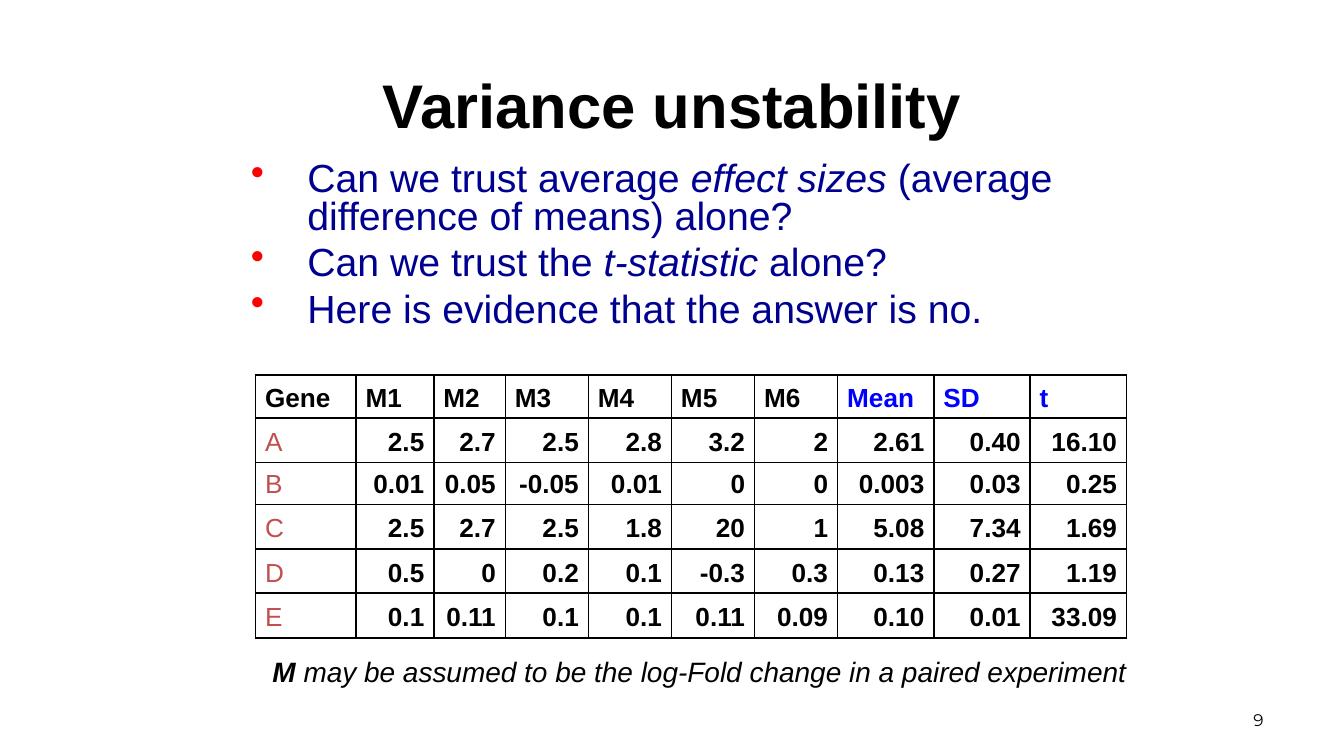
from dataclasses import dataclass

from lxml import etree
from pptx import Presentation
from pptx import util as u
from pptx.dml.color import RGBColor
from pptx.enum import text
from pptx.oxml.ns import qn


@dataclass(frozen=True)
class Theme:
    ink: str = "000000"
    question: str = "000090"
    bullet: str = "FF0000"
    gene: str = "C0504D"
    summary: str = "0000FF"
    font: str = "Arial"
    number_font: str = "Montserrat"
    title_size: int = 33
    bullet_size: int = 21
    caption_size: int = 15
    table_size: int = 14
    number_size: int = 9


def solid_fill(parent, color):
    fill = etree.SubElement(parent, qn("a:solidFill"))
    etree.SubElement(fill, qn("a:srgbClr"), val=color)


class SlideWriter:
    def __init__(self, slide, theme):
        self.slide = slide
        self.theme = theme

    def style(self, run, size, color, bold=False, italic=False, font=None):
        run.font.name = font or self.theme.font
        run.font.size = u.Pt(size)
        run.font.bold = bold
        run.font.italic = italic
        run.font.color.rgb = RGBColor.from_string(color)

    def box(self, area, anchor=text.MSO_ANCHOR.TOP):
        frame = self.slide.shapes.add_textbox(*map(u.Cm, area)).text_frame
        frame.word_wrap = True
        frame.vertical_anchor = anchor
        return frame

    def line(self, area, words, size, align, bold=False, font=None):
        frame = self.box(area, text.MSO_ANCHOR.MIDDLE)
        frame.text = words
        paragraph = frame.paragraphs[0]
        paragraph.alignment = align
        self.style(paragraph.runs[0], size, self.theme.ink, bold, font=font)

    def bullets(self, area, questions):
        frame = self.box(area)
        for index, parts in enumerate(questions):
            paragraph = frame.add_paragraph() if index else frame.paragraphs[0]
            paragraph.line_spacing = 0.8
            if index:
                paragraph.space_before = u.Pt(4.8)
            properties = paragraph._p.get_or_add_pPr()
            properties.set("marL", str(u.Cm(1.27)))
            properties.set("indent", str(u.Cm(-1.07)))
            bullet_color = etree.SubElement(properties, qn("a:buClr"))
            etree.SubElement(bullet_color, qn("a:srgbClr"), val=self.theme.bullet)
            etree.SubElement(properties, qn("a:buChar"), char="•")
            for position, part in enumerate(parts):
                run = paragraph.add_run()
                run.text = part
                self.style(run, self.theme.bullet_size, self.theme.question,
                           italic=position == 1)

    def caption(self, area, symbol, explanation):
        paragraph = self.box(area).paragraphs[0]
        for part, bold in ((symbol, True), (explanation, False)):
            run = paragraph.add_run()
            run.text = part
            self.style(run, self.theme.caption_size, self.theme.ink, bold, True)

    def borders(self, cell):
        properties = cell._tc.get_or_add_tcPr()
        for side in ("a:lnL", "a:lnR", "a:lnT", "a:lnB"):
            edge = etree.SubElement(properties, qn(side), w=str(u.Pt(1)))
            solid_fill(edge, self.theme.ink)

    def cell(self, cell, value, color, bold, align):
        cell.text = value
        cell.vertical_anchor = text.MSO_ANCHOR.BOTTOM
        cell.margin_left = cell.margin_right = u.Cm(0.18)
        cell.margin_top = cell.margin_bottom = u.Cm(0.1)
        paragraph = cell.text_frame.paragraphs[0]
        paragraph.alignment = align
        self.style(paragraph.runs[0], self.theme.table_size, color, bold)
        self.borders(cell)
        cell.fill.background()

    def table(self, left, top, widths, heights, records):
        grid = self.slide.shapes.add_table(
            len(heights), len(widths), u.Cm(left), u.Cm(top),
            u.Cm(sum(widths)), u.Cm(sum(heights))).table
        grid.first_row = grid.horz_banding = False
        for column, width in zip(grid.columns, widths):
            column.width = u.Cm(width)
        for row, height in zip(grid.rows, heights):
            row.height = u.Cm(height)
        for r, record in enumerate(records):
            for c, value in enumerate(record):
                is_header, is_gene = r == 0, r > 0 and c == 0
                color = self.theme.ink
                if is_gene:
                    color = self.theme.gene
                elif is_header and c >= 7:
                    color = self.theme.summary
                align = (text.PP_ALIGN.LEFT if is_header or is_gene
                         else text.PP_ALIGN.RIGHT)
                self.cell(grid.cell(r, c), value, color, not is_gene, align)


QUESTIONS = [
    ("Can we trust average ", "effect sizes", " (average difference of means) alone?"),
    ("Can we trust the ", "t-statistic", " alone?"),
    ("Here is evidence that the answer is no.",),
]

GENES = [
    ("Gene", "M1", "M2", "M3", "M4", "M5", "M6", "Mean", "SD", "t"),
    ("A", "2.5", "2.7", "2.5", "2.8", "3.2", "2", "2.61", "0.40", "16.10"),
    ("B", "0.01", "0.05", "-0.05", "0.01", "0", "0", "0.003", "0.03", "0.25"),
    ("C", "2.5", "2.7", "2.5", "1.8", "20", "1", "5.08", "7.34", "1.69"),
    ("D", "0.5", "0", "0.2", "0.1", "-0.3", "0.3", "0.13", "0.27", "1.19"),
    ("E", "0.1", "0.11", "0.1", "0.1", "0.11", "0.09", "0.10", "0.01", "33.09"),
]


def main():
    deck = Presentation()
    deck.slide_width, deck.slide_height = u.Cm(25.4), u.Cm(14.29)
    theme = Theme()
    writer = SlideWriter(deck.slides.add_slide(deck.slide_layouts[6]), theme)

    writer.line((18.21, 13.23, 5.92, 0.76), "9", theme.number_size,
                text.PP_ALIGN.RIGHT, font=theme.number_font)
    writer.line((1.27, 0.97, 22.86, 1.98), "Variance unstability",
                theme.title_size, text.PP_ALIGN.CENTER, bold=True)
    writer.bullets((4.29, 2.95, 17.37, 3.76), QUESTIONS)
    writer.table(4.83, 7.09,
                 [1.9, 1.47, 1.35] + [1.57] * 4 + [1.82] * 3,
                 [0.81, 0.84, 0.77] + [0.84] * 3, GENES)
    writer.caption((4.9, 12.24, 16.66, 1.55), "M",
                   " may be assumed to be the log-Fold change in a paired experiment")
    deck.save("out.pptx")


if __name__ == "__main__":
    main()
